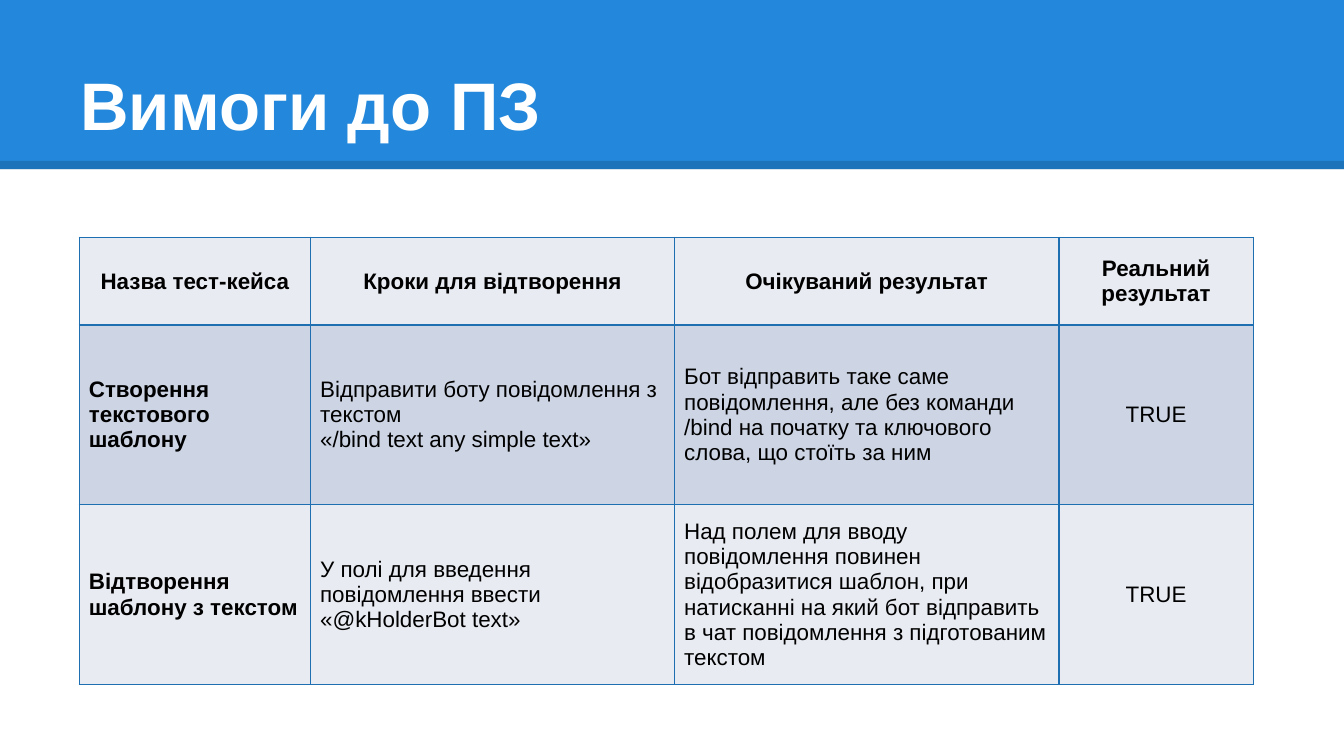
from typing import NamedTuple

from lxml.etree import SubElement as Sub
from pptx import Presentation
from pptx.dml.color import RGBColor
from pptx.enum.shapes import MSO_CONNECTOR as Link, MSO_SHAPE as Kind
from pptx.enum.text import MSO_ANCHOR as Anchor, MSO_AUTO_SIZE as Fit, PP_ALIGN as Align
from pptx.oxml.ns import qn
from pptx.util import Cm, Pt

FONT = "Arial"
BLUE = RGBColor(0x23, 0x88, 0xDB)
EDGE = RGBColor(0x1D, 0x6F, 0xB2)
PALE = RGBColor(0xE8, 0xEB, 0xF2)
GREY = RGBColor(0xCD, 0xD5, 0xE4)
BLACK = RGBColor(0, 0, 0)
WHITE = RGBColor(255, 255, 255)

WIDTH, HEIGHT = 25.4, 14.29


class Row(NamedTuple):
    high: float
    fill: RGBColor
    texts: tuple[str, ...]


COLS = (4.37, 6.88, 7.26, 3.68)
ROWS = (
    Row(1.65, PALE, ("Назва тест-кейса", "Кроки для відтворення",
                     "Очікуваний результат", "Реальний результат")),
    Row(3.4, GREY, (
        "Створення текстового шаблону",
        "Відправити боту повідомлення з текстом \n«/bind text any simple text»",
        "Бот відправить таке саме повідомлення, але без команди /bind "
        "на початку та ключового слова, що стоїть за ним",
        "TRUE")),
    Row(3.4, PALE, (
        "Відтворення шаблону з текстом",
        "У полі для введення повідомлення ввести «@kHolderBot text»",
        "Над полем для вводу повідомлення повинен відобразитися шаблон, "
        "при натисканні на який бот відправить в чат повідомлення "
        "з підготованим текстом",
        "TRUE")),
)


def write(para, text: str, size: int, color: RGBColor, bold: bool) -> None:
    """Add one run per line of text, with line breaks between."""
    for i, line in enumerate(text.split("\n")):
        if i:
            para.add_line_break()
        run = para.add_run()
        run.text = line
        font = run.font
        font.name, font.size, font.bold = FONT, Pt(size), bold
        font.color.rgb = color


def border(cell) -> None:
    """Draw a thin line on all four sides of a cell."""
    props = cell._tc.get_or_add_tcPr()
    for side in ("a:lnL", "a:lnR", "a:lnT", "a:lnB"):
        line = Sub(props, qn(side), w=str(Pt(1)))
        Sub(Sub(line, qn("a:solidFill")), qn("a:srgbClr"), val=str(EDGE))


def draw_head(slide) -> None:
    # Blue band
    band = slide.shapes.add_shape(Kind.RECTANGLE, 0, 0, Cm(WIDTH), Cm(3.2))
    band.shadow.inherit = False
    band.fill.solid()
    band.fill.fore_color.rgb = BLUE
    band.line.fill.background()

    # Sheer dark rule along its lower edge
    rule = slide.shapes.add_connector(Link.STRAIGHT, 0, Cm(3.12), Cm(WIDTH), Cm(3.12))
    rule.line.width = Pt(4.5)
    rule.line.color.rgb = BLACK
    props = rule.element.spPr
    Sub(props.find(".//" + qn("a:srgbClr")), qn("a:alpha"), val="15000")
    Sub(props, qn("a:effectLst"))


def draw_title(slide, text: str) -> None:
    title = slide.shapes.title
    title.left, title.top = Cm(1.27), Cm(0.58)
    title.width, title.height = Cm(22.86), Cm(2.39)
    frame = title.text_frame
    frame.auto_size = Fit.NONE
    frame.word_wrap = True
    frame.vertical_anchor = Anchor.BOTTOM
    frame.margin_left = frame.margin_right = Cm(0.25)
    frame.margin_top = frame.margin_bottom = Cm(0.25)
    para = frame.paragraphs[0]
    para.alignment = Align.LEFT
    write(para, text, 36, WHITE, True)
    # Bring the title in front of the band
    title.element.getparent().append(title.element)


def draw_table(slide) -> None:
    high = sum(row.high for row in ROWS)
    table = slide.shapes.add_table(len(ROWS), len(COLS), Cm(1.5), Cm(4.49),
                                   Cm(sum(COLS)), Cm(high)).table
    for col, wide in zip(table.columns, COLS):
        col.width = Cm(wide)
    for r, row in enumerate(ROWS):
        table.rows[r].height = Cm(row.high)
        for c, text in enumerate(row.texts):
            cell = table.cell(r, c)
            border(cell)
            cell.fill.solid()
            cell.fill.fore_color.rgb = row.fill
            cell.vertical_anchor = Anchor.MIDDLE
            cell.margin_left = cell.margin_right = Cm(0.18)
            cell.margin_top = cell.margin_bottom = 0
            para = cell.text_frame.paragraphs[0]
            mid = r == 0 or c == len(COLS) - 1
            para.alignment = Align.CENTER if mid else Align.LEFT
            write(para, text, 12, BLACK, r == 0 or c == 0)


def main() -> None:
    deck = Presentation()
    deck.slide_width, deck.slide_height = Cm(WIDTH), Cm(HEIGHT)
    slide = deck.slides.add_slide(deck.slide_layouts[5])
    draw_head(slide)
    draw_table(slide)
    draw_title(slide, "Вимоги до ПЗ")
    deck.save("out.pptx")


if __name__ == "__main__":
    main()
